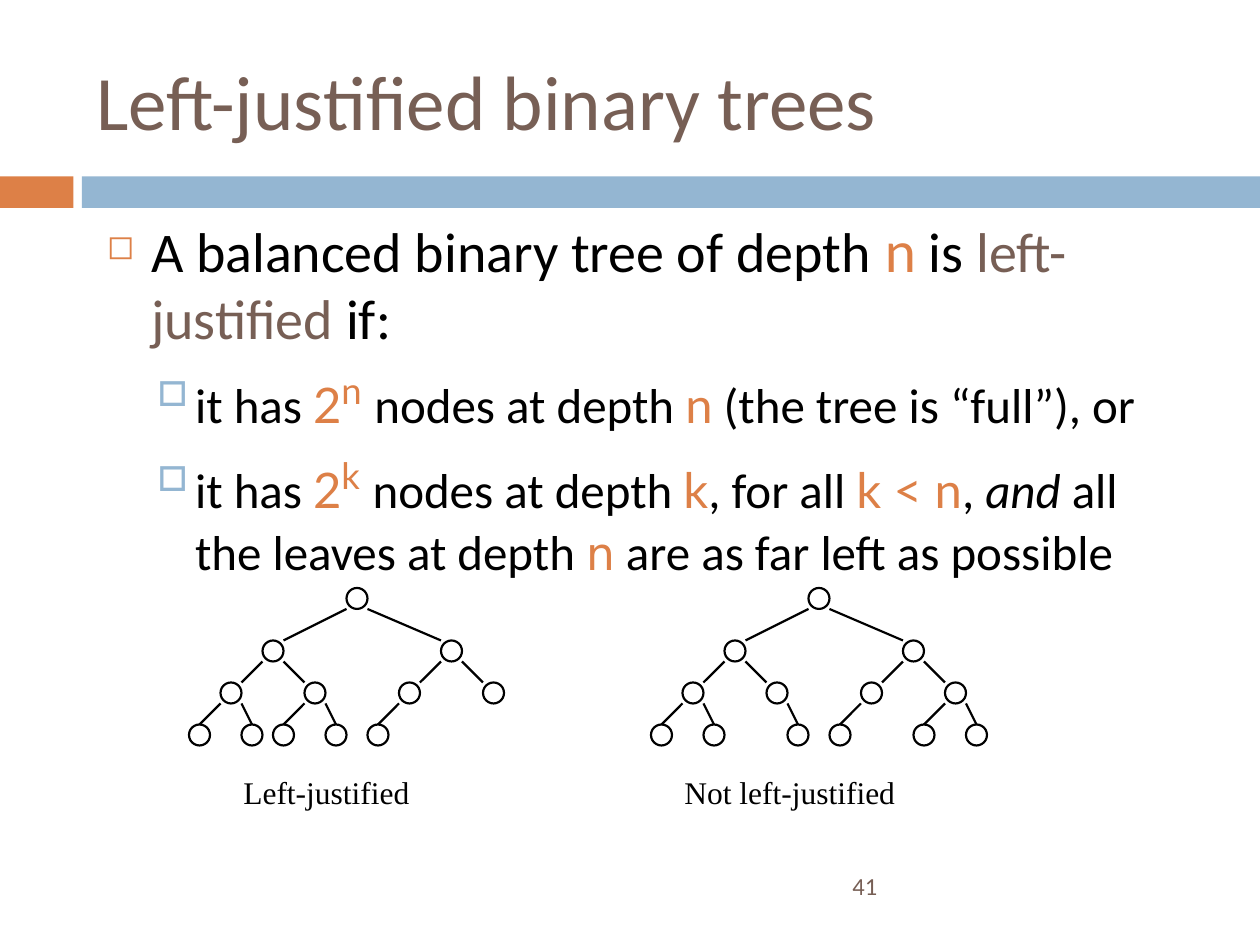
"""Build the slide on left-justified binary trees."""
import pptx
import pptx.dml.color
import pptx.enum.shapes
import pptx.enum.text
import pptx.oxml.ns
import pptx.util
from lxml import etree


class Theme:
    brown, orange, blue, black = "775F55", "DD8047", "94B6D2", "000000"
    pale = "FFFF99"
    sans, math, sign, serif = "Calibri", "Lato", "DejaVu Sans", "Times New Roman"
    title, point, sub, power, symbol, label, page = 44, 32, 28, 36, 26, 18, 14
    stroke = 1.25


deck = pptx.Presentation()
deck.slide_width = pptx.util.Inches(10)
deck.slide_height = pptx.util.Inches(7.5)
cell = deck.slide_width / 120
slide = deck.slides.add_slide(deck.slide_layouts[6])
color = pptx.dml.color.RGBColor.from_string
kinds = pptx.enum.shapes.MSO_SHAPE
anchors = pptx.enum.text.MSO_ANCHOR
qn = pptx.oxml.ns.qn


def grid(*cells):
    return [round(n * cell) for n in cells]


def style(run, face, size, tint):
    run.font.name = face
    run.font.size = pptx.util.Pt(size)
    run.font.color.rgb = color(tint)


for left, width, tint in ((0, 7, Theme.orange), (7.8, 112.2, Theme.blue)):
    band = slide.shapes.add_shape(kinds.RECTANGLE, *grid(left, 16.8, width, 3))
    band.shadow.inherit = False
    band.fill.solid()
    band.fill.fore_color.rgb = color(tint)
    band.line.fill.background()

middle, top = anchors.MIDDLE, anchors.TOP
texts = (
    ("41", (80, 82, 35, 4.8), middle, Theme.sans, Theme.page, Theme.brown),
    ("Left-justified binary trees", (8, 3, 107, 13), middle,
     Theme.sans, Theme.title, Theme.brown),
    ("Left-justified", (22, 73, 25, 6), top, Theme.serif, Theme.label, Theme.black),
    ("Not left-justified", (64, 73, 32, 6), top,
     Theme.serif, Theme.label, Theme.black),
)
for text, place, anchor, face, size, tint in texts:
    frame = slide.shapes.add_textbox(*grid(*place)).text_frame
    frame.word_wrap = True
    frame.vertical_anchor = anchor
    frame.text = text
    style(frame.paragraphs[0].runs[0], face, size, tint)

looks = {
    "plain": (Theme.sans, None, Theme.black),
    "term": (Theme.sans, None, Theme.brown),
    "math": (Theme.math, None, Theme.orange),
    "power": (Theme.math, Theme.power, Theme.orange),
    "gap": (Theme.math, None, Theme.pale),
    "sign": (Theme.sign, Theme.symbol, Theme.orange),
    "stress": (Theme.sans, None, Theme.black),
}
head = dict(size=Theme.point, level=0, indent=0.35, hang=0.35, before=0,
            mark="◻", tint=Theme.orange, share=60)
item = dict(size=Theme.sub, level=1, indent=0.7, hang=0.3, before=5.5,
            mark="□", tint=Theme.blue, share=70)
points = (
    (head, (("A balanced binary tree of depth ", "plain"), ("n", "math"),
            (" is ", "plain"), ("left-justified", "term"), (" if:", "plain"))),
    (item, (("it has ", "plain"), ("2", "math"), ("n", "power"), (" ", "gap"),
            ("nodes at depth ", "plain"), ("n", "math"),
            (" (the tree is “full”), or", "plain"))),
    (item, (("it has ", "plain"), ("2", "math"), ("k", "power"), (" ", "gap"),
            ("nodes at depth ", "plain"), ("k", "math"), (", for all ", "plain"),
            ("k < n", "math"), (", ", "plain"), ("and", "stress"),
            (" all the leaves at depth ", "plain"), ("n", "sign"),
            (" are as far left as possible", "plain"))),
)
frame = slide.shapes.add_textbox(*grid(9, 20, 105, 35)).text_frame
frame.word_wrap = True
for count, (kind, parts) in enumerate(points):
    para = frame.add_paragraph() if count else frame.paragraphs[0]
    para.level = kind["level"]
    para.space_before = pptx.util.Pt(kind["before"])
    props = para._p.get_or_add_pPr()
    props.set("marL", str(pptx.util.Inches(kind["indent"])))
    props.set("indent", str(-pptx.util.Inches(kind["hang"])))
    tone = etree.SubElement(props, qn("a:buClr"))
    etree.SubElement(tone, qn("a:srgbClr"), val=kind["tint"])
    etree.SubElement(props, qn("a:buSzPct"), val=str(kind["share"] * 1000))
    etree.SubElement(props, qn("a:buChar"), char=kind["mark"])
    for text, look in parts:
        run = para.add_run()
        run.text = text
        face, size, tint = looks[look]
        style(run, face, size or kind["size"], tint)
        if look == "stress":
            run.font.italic = True
        if look == "power":
            run._r.get_or_add_rPr().set("baseline", "30000")

# Slots count like a heap: the children of slot s are 2s and 2s + 1.
rows = (56, 61, 65, 69)
cols = (15, 7, 24, 3, 11, 20, 28, 0, 5, 8, 13, 17, 22, 25, 30)
full = set(range(1, 16))
node = 2
for left, gone in ((18, {13, 14, 15}), (62, {10, 13})):
    tree = slide.shapes.add_group_shape().shapes
    for slot in sorted(full - gone):
        level = slot.bit_length() - 1
        x, y = left + cols[slot - 1], rows[level]
        ring = tree.add_shape(kinds.OVAL, *grid(x, y, node, node))
        ring.shadow.inherit = False
        ring.fill.background()
        ring.line.color.rgb = color(Theme.black)
        ring.line.width = pptx.util.Pt(Theme.stroke)
        if slot == 1:
            continue
        right = slot % 2
        start = x + (node / 2 if level == 3 else node * (1 - right))
        end = left + cols[slot // 2 - 1] + node * right
        edge = tree.add_connector(pptx.enum.shapes.MSO_CONNECTOR.STRAIGHT,
                                  *grid(start, y, end, rows[level - 1] + node))
        edge.line.color.rgb = color(Theme.black)
        edge.line.width = pptx.util.Pt(Theme.stroke)
        etree.SubElement(edge._element.spPr, qn("a:effectLst"))

deck.save("out.pptx")
